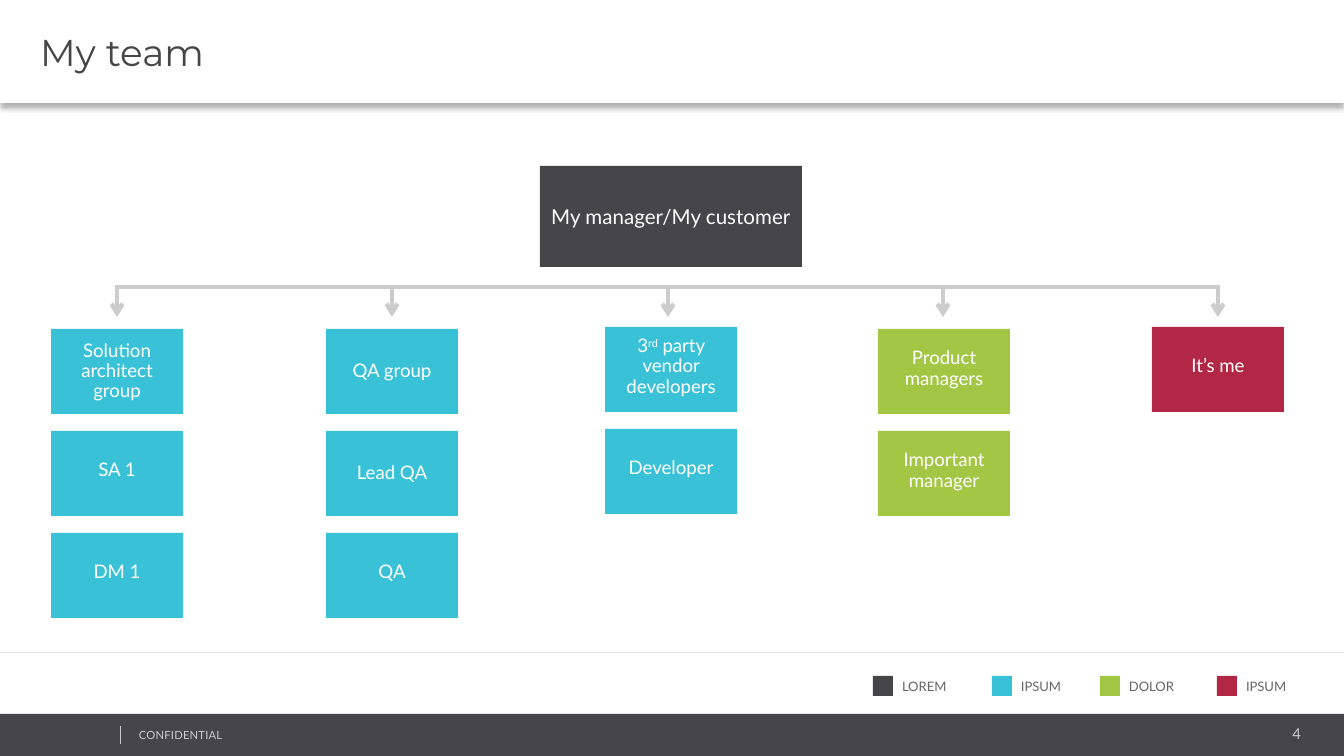
from lxml.etree import SubElement
from pptx import Presentation
from pptx.dml.color import RGBColor
from pptx.enum.shapes import MSO_CONNECTOR, MSO_SHAPE
from pptx.enum.text import MSO_ANCHOR, MSO_AUTO_SIZE, PP_ALIGN
from pptx.oxml.ns import qn
from pptx.util import Emu, Pt

CHARCOAL = RGBColor(0x46, 0x45, 0x47)
CYAN = RGBColor(0x39, 0xC2, 0xD7)
GREEN = RGBColor(0xA3, 0xC6, 0x44)
CRIMSON = RGBColor(0xB2, 0x27, 0x46)
WHITE = RGBColor(0xFF, 0xFF, 0xFF)
SILVER = RGBColor(0xCC, 0xCC, 0xCC)
PALE = RGBColor(0xE6, 0xE6, 0xE6)
GREY = RGBColor(0x66, 0x66, 0x66)

EMU_PER_PX = 914400 / 134.4
WIDTH, HEIGHT = 1344, 756
BOX_WIDTH, BOX_HEIGHT, ROW_PITCH = 132, 85, 102
BAR_TOP, ARROW_END = 287, 317
FIRST_ARROW, LAST_ARROW = 117, 1218

TEAMS = [
    (51, 329, CYAN, [([("Solution architect group", {})], 9),
                     ([("SA 1", {})], 3),
                     ([("DM 1", {})], 4)]),
    (326, 329, CYAN, [([("QA group", {})], 9),
                      ([("Lead QA", {})], 9),
                      ([("QA", {})], 4)]),
    (605, 327, CYAN, [([("3", {}), ("rd", {"baseline": "30000"}),
                        (" party vendor developers", {})], 4),
                      ([("Developer", {})], 4)]),
    (878, 329, GREEN, [([("Product managers", {})], 4),
                       ([("Important manager", {})], 4)]),
    (1152, 327, CRIMSON, [([("It’s me", {})], 4)]),
]
LEGEND = [(873, 101, CHARCOAL, "LOREM"), (992, 73, CYAN, "IPSUM"),
          (1100, 93, GREEN, "DOLOR"), (1217, 121, CRIMSON, "IPSUM")]


def px(length):
    """Turn whole pixels into EMU."""
    return Emu(round(length * EMU_PER_PX))


class SlideBuilder:
    """Holds the text style and the slide being filled."""

    def __init__(self, slide, font="Lato"):
        self.slide = slide
        self.font = font

    def add_text(self, shape, runs, size, color, align=PP_ALIGN.LEFT,
                 insets=(9, 5, 9, 5), anchor=MSO_ANCHOR.TOP, spacing=None, font=None):
        """Fill a shape with one paragraph of styled runs."""
        frame = shape.text_frame
        frame.word_wrap = True
        frame.auto_size = MSO_AUTO_SIZE.NONE
        frame.vertical_anchor = anchor
        (frame.margin_left, frame.margin_top,
         frame.margin_right, frame.margin_bottom) = map(px, insets)
        paragraph = frame.paragraphs[0]
        paragraph.alignment = align
        paragraph.line_spacing = spacing
        for text, attributes in runs:
            run = paragraph.add_run()
            run.text = text
            run.font.name = font or self.font
            run.font.size = Pt(size)
            run.font.color.rgb = color
            for name, value in attributes.items():
                run.font._element.set(name, value)
        return paragraph

    def title(self, text, height):
        """Format the title placeholder as a white band with a soft shadow."""
        shape = self.slide.shapes.title
        shape.left, shape.top = px(0), px(0)
        shape.width, shape.height = px(WIDTH), px(height)
        shape.fill.solid()
        shape.fill.fore_color.rgb = WHITE
        effects = SubElement(shape._element.spPr, qn("a:effectLst"))
        shadow = SubElement(effects, qn("a:outerShdw"), blurRad="39370",
                            dist="25400", dir="5400000", rotWithShape="0")
        color = SubElement(shadow, qn("a:srgbClr"), val="000000")
        SubElement(color, qn("a:alpha"), val="30000")
        paragraph = self.add_text(shape, [(text, {})], 20, CHARCOAL,
                                  insets=(40, 5, 9, 5), anchor=MSO_ANCHOR.MIDDLE,
                                  font="Montserrat")
        paragraph.space_before = Pt(4)

    def box(self, left, top, width, height, color):
        """Add a plain filled rectangle."""
        shape = self.slide.shapes.add_shape(
            MSO_SHAPE.RECTANGLE, px(left), px(top), px(width), px(height))
        shape.shadow.inherit = False
        shape.fill.solid()
        shape.fill.fore_color.rgb = color
        shape.line.fill.background()
        return shape

    def card(self, left, top, width, height, color, runs, size, insets, spacing=None):
        """Add a rectangle with centred white text."""
        shape = self.box(left, top, width, height, color)
        self.add_text(shape, runs, size, WHITE, PP_ALIGN.CENTER, insets,
                      MSO_ANCHOR.MIDDLE, spacing)

    def label(self, left, top, width, height, runs, size, color, align=PP_ALIGN.LEFT):
        """Add a text box."""
        shape = self.slide.shapes.add_textbox(px(left), px(top), px(width), px(height))
        self.add_text(shape, runs, size, color, align)

    def line(self, start, end, color, weight, arrow=False):
        """Add a straight line, with an arrowhead at its end if asked."""
        connector = self.slide.shapes.add_connector(
            MSO_CONNECTOR.STRAIGHT, *map(px, start + end))
        connector.line.color.rgb = color
        connector.line.width = Pt(weight)
        properties = connector._element.spPr
        if arrow:
            SubElement(properties.find(qn("a:ln")), qn("a:tailEnd"), type="arrow")
        SubElement(properties, qn("a:effectLst"))


def main():
    """Build and save the team slide."""
    presentation = Presentation()
    presentation.slide_width, presentation.slide_height = px(WIDTH), px(HEIGHT)
    slide = presentation.slides.add_slide(presentation.slide_layouts[5])
    builder = SlideBuilder(slide)

    builder.title("My team", 103)
    builder.box(0, 714, WIDTH, HEIGHT - 714, CHARCOAL)
    builder.label(1091, 720, 219, 28, [("4", {})], 8, SILVER, PP_ALIGN.RIGHT)
    builder.label(130, 723, 340, 24, [("CONFIDENTIAL", {"spc": "10"})], 6, SILVER)
    builder.line((120, 726), (120, 744), SILVER, 0.25)
    builder.line((0, 653), (WIDTH, 653), PALE, 0.5)

    builder.card(540, 166, 262, 101, CHARCOAL, [("My manager/My customer", {})],
                 11, (9, 5, 9, 5))
    builder.line((FIRST_ARROW - 2, BAR_TOP), (LAST_ARROW + 2, BAR_TOP), SILVER, 2.25)
    arrow_pitch = (LAST_ARROW - FIRST_ARROW) / (len(TEAMS) - 1)
    for column, (left, top, color, members) in enumerate(TEAMS):
        center = round(FIRST_ARROW + column * arrow_pitch)
        builder.line((center, BAR_TOP), (center, ARROW_END), SILVER, 2.25, arrow=True)
        for row, (runs, top_inset) in enumerate(members):
            builder.card(left, top + row * ROW_PITCH, BOX_WIDTH, BOX_HEIGHT, color,
                         runs, 10, (9, top_inset, 9, 9), 0.9)

    for left, width, color, text in LEGEND:
        builder.box(left, 676, 20, 20, color)
        builder.label(left + 20, 673, width, 26, [(text, {})], 7, GREY)

    presentation.save("out.pptx")


if __name__ == "__main__":
    main()
